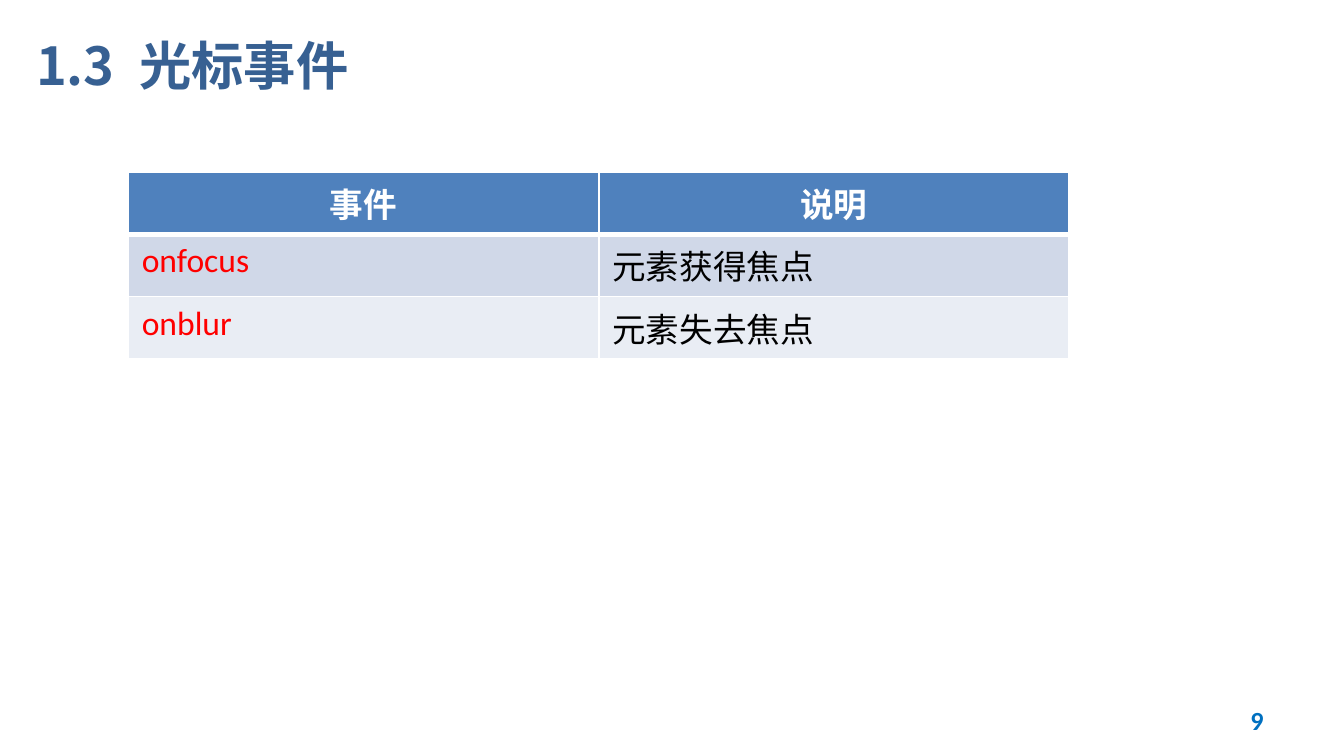
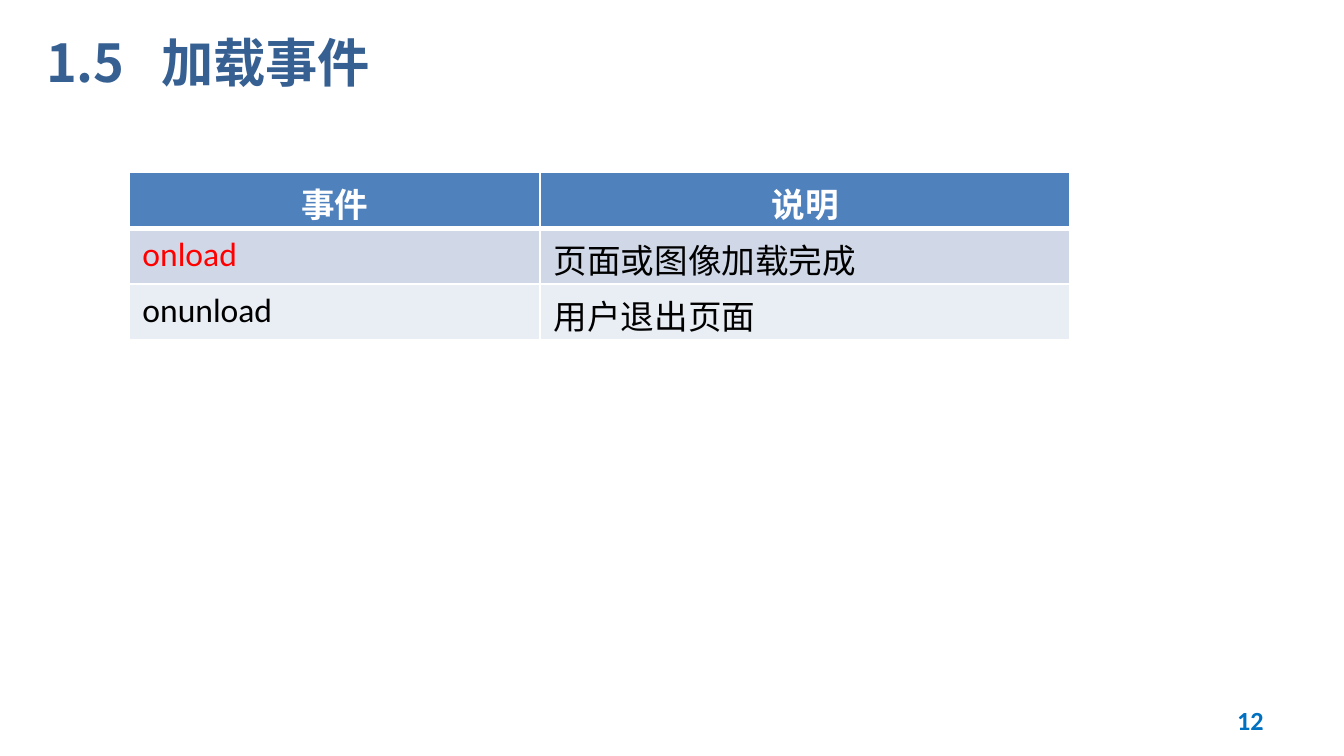
import pptx
import pptx.dml.color
import pptx.enum.text
import pptx.oxml
import pptx.oxml.ns
import pptx.util
from lxml import etree

RGBColor = pptx.dml.color.RGBColor
Align = pptx.enum.text.PP_ALIGN

WHITE = RGBColor(0xFF, 0xFF, 0xFF)
BLACK = RGBColor(0, 0, 0)
RED = RGBColor(0xFF, 0, 0)
TITLE_BLUE = RGBColor(0x37, 0x60, 0x92)
NUMBER_BLUE = RGBColor(0x00, 0x70, 0xC0)
HEADER_BLUE = RGBColor(0x4F, 0x81, 0xBD)
BANDS = (RGBColor(0xD0, 0xD8, 0xE8), RGBColor(0xE9, 0xED, 0xF4))

LATIN = "Calibri"
CJK = "Noto Sans CJK SC"
COLUMNS = 100
WIDTH = 10
HEIGHT = WIDTH * 9 / 16


def grid(units):
    """Length of a number of grid units; the page is 100 columns wide."""
    return pptx.util.Inches(units * WIDTH / COLUMNS)


class EventDeck:
    def __init__(self):
        self.deck = pptx.Presentation()
        self.deck.slide_width = pptx.util.Inches(WIDTH)
        self.deck.slide_height = pptx.util.Inches(HEIGHT)
        self.page = None

    def add_page(self, number):
        self.page = self.deck.slides.add_slide(self.deck.slide_layouts[6])
        para = self.add_box(71.7, 52.1, 23.3, 3)
        para.alignment = Align.RIGHT
        self.add_span(para, str(number), 14, NUMBER_BLUE, bold=True)

    def add_box(self, left, top, width, height):
        box = self.page.shapes.add_textbox(*map(grid, (left, top, width, height)))
        frame = box.text_frame
        frame.word_wrap = True
        frame.vertical_anchor = pptx.enum.text.MSO_ANCHOR.MIDDLE
        return frame.paragraphs[0]

    def add_span(self, para, text, size, color, bold=False, font=LATIN):
        span = para.add_run()
        span.text = text
        span.font.size = pptx.util.Pt(size)
        span.font.name = font
        span.font.bold = bold
        span.font.color.rgb = color
        east_asian = etree.SubElement(span.font._element, pptx.oxml.ns.qn("a:ea"))
        east_asian.set("typeface", CJK)

    def add_title(self, section, name, place, tab):
        para = self.add_box(*place)
        properties = para._p.get_or_add_pPr()
        tabs = etree.SubElement(properties, pptx.oxml.ns.qn("a:tabLst"))
        etree.SubElement(tabs, pptx.oxml.ns.qn("a:tab"), pos=str(grid(tab)), algn="l")
        self.add_span(para, f"{section}\t{name}", 28, TITLE_BLUE, True, CJK)

    def add_borders(self, cell, row):
        # The rule under the header is heavier than the others
        widths = {"L": 1, "R": 1, "T": 3 if row == 1 else 1, "B": 3 if row == 0 else 1}
        properties = cell._tc.get_or_add_tcPr()
        for index, (side, width) in enumerate(widths.items()):
            line = pptx.oxml.parse_xml(
                f'<a:ln{side} {pptx.oxml.ns.nsdecls("a")} w="{pptx.util.Pt(width)}">'
                f'<a:solidFill><a:srgbClr val="{WHITE}"/></a:solidFill></a:ln{side}>')
            properties.insert(index, line)

    def add_table(self, left, widths, row_height, events):
        """Draw a table of (event, description, event colour) rows."""
        rows = [("事件", "说明", WHITE), *events]
        table = self.page.shapes.add_table(
            len(rows), len(widths), grid(left), grid(12.8),
            grid(sum(widths)), grid(row_height * len(rows))).table
        for column, width in zip(table.columns, widths):
            column.width = grid(width)
        for row, (event, description, color) in enumerate(rows):
            table.rows[row].height = grid(row_height)
            header = row == 0
            colors = (color, WHITE if header else BLACK)
            for column, text in enumerate((event, description)):
                cell = table.cell(row, column)
                cell.fill.solid()
                cell.fill.fore_color.rgb = HEADER_BLUE if header else BANDS[(row - 1) % 2]
                self.add_borders(cell, row)
                para = cell.text_frame.paragraphs[0]
                para.alignment = Align.CENTER if header else Align.LEFT
                self.add_span(para, text, 18, colors[column], bold=header)


def main():
    show = EventDeck()

    # Focus events
    show.add_page(9)
    show.add_title("1.3", "光标事件", (1.7, 0.1, 90, 9.4), tab=7.7)
    show.add_table(9.55, (35, 35), 4.63, [
        ("onfocus", "元素获得焦点", RED),
        ("onblur", "元素失去焦点", RED),
    ])

    # Load events
    show.add_page(12)
    show.add_title("1.5", "加载事件", (2.45, 1.5, 94.6, 6.2), tab=8.55)
    show.add_table(9.6, (30.6, 39.4), 4.17, [
        ("onload", "页面或图像加载完成", RED),
        ("onunload", "用户退出页面", BLACK),
    ])

    show.deck.save("out.pptx")


if __name__ == "__main__":
    main()
